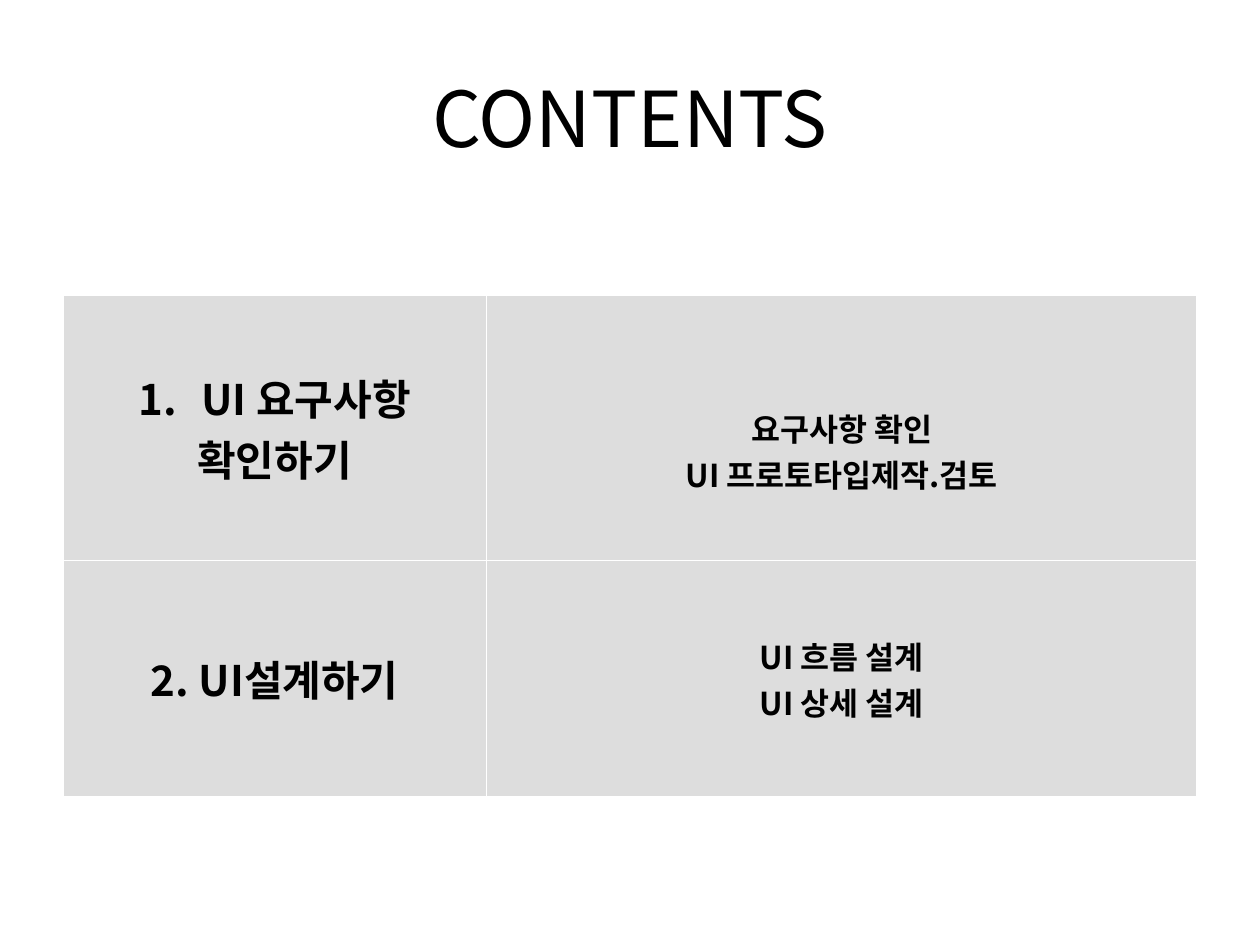
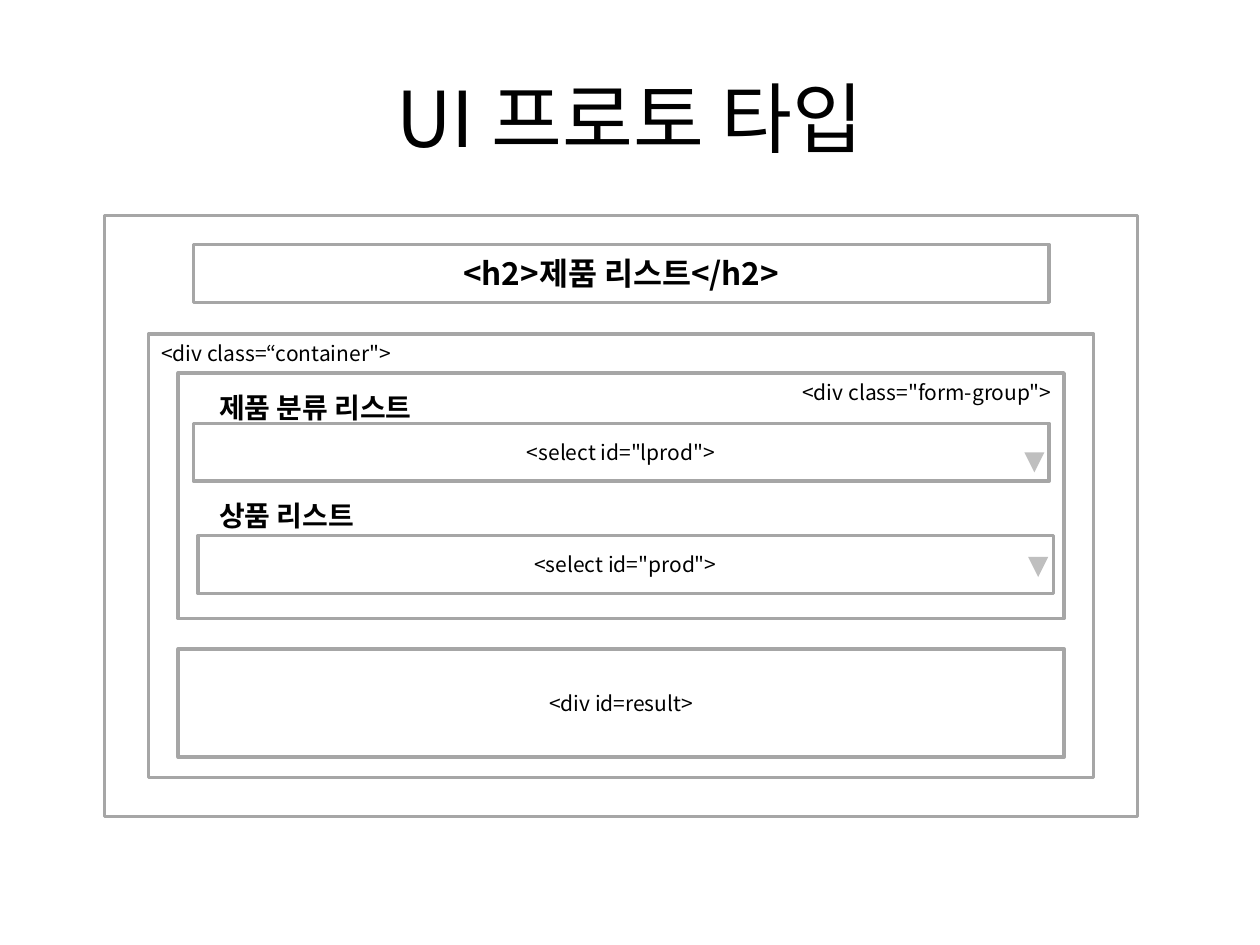
from dataclasses import dataclass

from lxml import etree
from pptx import Presentation, util as u
from pptx.dml.color import RGBColor
from pptx.enum import shapes, text
from pptx.oxml.ns import qn

ALIGN = text.PP_ALIGN
ANCHOR = text.MSO_ANCHOR


@dataclass(frozen=True)
class Theme:
    """Colours, type sizes and font shared by all slides."""
    font: str = "Noto Sans CJK KR"
    ink: str = "000000"
    table_fill: str = "DDDDDD"
    frame_line: str = "A6A6A6"
    arrow_fill: str = "BFBFBF"
    frame_width: float = 2
    title: float = 44
    chapter: float = 24
    topic: float = 18
    label: float = 16
    code: float = 12


def apply(target, values):
    """Set each attribute named in values on the target."""
    for name, value in values.items():
        setattr(target, name, value)


class Deck:
    """Holds the style and the current slide; lengths are cells of a 100 x 75 grid."""

    def __init__(self, theme):
        """Start an empty 10 x 7.5 inch presentation."""
        self.theme = theme
        self.show = Presentation()
        apply(self.show, {"slide_width": u.Inches(10), "slide_height": u.Inches(7.5)})
        self.cell = self.show.slide_width / 100
        self.slide = self.layer = None

    def grid(self, *cells):
        """Turn grid cells into slide lengths."""
        return [round(n * self.cell) for n in cells]

    def put_text(self, frame, lines, size, bold=False, align=ALIGN.CENTER,
                 anchor=ANCHOR.MIDDLE):
        """Fill a text frame with one paragraph per line."""
        apply(frame, {"word_wrap": True, "vertical_anchor": anchor})
        for index, line in enumerate(lines):
            paragraph = frame.add_paragraph() if index else frame.paragraphs[0]
            paragraph.alignment = align
            run = paragraph.add_run()
            run.text = line
            apply(run.font, {"name": self.theme.font, "size": u.Pt(size), "bold": bold})
            run.font.color.rgb = RGBColor.from_string(self.theme.ink)
            east_asian = etree.SubElement(run._r.get_or_add_rPr(), qn("a:ea"))
            east_asian.set("typeface", self.theme.font)

    def new_slide(self, title):
        """Add a blank slide with the shared title."""
        self.slide = self.show.slides.add_slide(self.show.slide_layouts[6])
        self.layer = self.slide.shapes
        box = self.layer.add_textbox(*self.grid(5, 3, 90, 12.5))
        self.put_text(box.text_frame, [title], self.theme.title)

    def table(self, at, columns, rows, contents):
        """Add a plain filled table; contents holds rows of (lines, size)."""
        table = self.layer.add_table(len(rows), len(columns), *self.grid(*at)).table
        apply(table, {"first_row": False, "horz_banding": False})
        for column, width in zip(table.columns, self.grid(*columns)):
            column.width = width
        for row, height in zip(table.rows, self.grid(*rows)):
            row.height = height
        for r, row in enumerate(contents):
            for c, (lines, size) in enumerate(row):
                cell = table.cell(r, c)
                cell.fill.solid()
                cell.fill.fore_color.rgb = RGBColor.from_string(self.theme.table_fill)
                self.put_text(cell.text_frame, lines, size, bold=True)
                cell.vertical_anchor = ANCHOR.MIDDLE
        return table

    def number(self, paragraph, indent):
        """Give a paragraph an automatic number with a hanging indent."""
        properties = paragraph._p.get_or_add_pPr()
        length, = self.grid(indent)
        properties.set("marL", str(length))
        properties.set("indent", str(-length))
        etree.SubElement(properties, qn("a:buFont")).set("typeface", "+mj-lt")
        etree.SubElement(properties, qn("a:buAutoNum")).set("type", "arabicPeriod")

    def frame(self, top, width, height, line="", axis=49.3, size=None, **style):
        """Add an outlined wireframe box centred on a vertical axis."""
        box = self.layer.add_shape(shapes.MSO_SHAPE.RECTANGLE,
                                   *self.grid(axis - width / 2, top, width, height))
        box.shadow.inherit = False
        box.fill.background()
        box.line.color.rgb = RGBColor.from_string(self.theme.frame_line)
        box.line.width = u.Pt(self.theme.frame_width)
        if line:
            self.put_text(box.text_frame, [line], size or self.theme.code, **style)

    def label(self, left, top, line):
        """Add a bold field label."""
        box = self.layer.add_textbox(*self.grid(left, top, 21.1, 3.7))
        self.put_text(box.text_frame, [line], self.theme.label, bold=True,
                      align=ALIGN.LEFT, anchor=ANCHOR.TOP)
        box.text_frame.auto_size = text.MSO_AUTO_SIZE.SHAPE_TO_FIT_TEXT

    def drop_arrow(self, left, top):
        """Add the small triangle of a drop-down field."""
        arrow = self.layer.add_shape(shapes.MSO_SHAPE.FLOWCHART_MERGE,
                                     *self.grid(left, top, 1.6, 1.6))
        arrow.shadow.inherit = False
        arrow.fill.solid()
        arrow.fill.fore_color.rgb = RGBColor.from_string(self.theme.arrow_fill)
        arrow.line.fill.background()


def contents_slide(deck):
    """Build the table of contents."""
    chapter, topic = deck.theme.chapter, deck.theme.topic
    deck.new_slide("CONTENTS")
    table = deck.table((5, 23.4, 90, 39.8), (33.6, 56.4), (21.1, 18.7), [
        [(["UI 요구사항", "확인하기"], chapter),
         (["요구사항 확인", "UI 프로토타입제작.검토"], topic)],
        [(["2. UI설계하기"], chapter),
         (["UI 흐름 설계", "UI 상세 설계"], topic)],
    ])
    deck.number(table.cell(0, 0).text_frame.paragraphs[0], 5)
    table.cell(0, 1).margin_top, = deck.grid(4.1)


def prototype_slide(deck):
    """Build the wireframe of the product list page."""
    field_width, field_height, panel_width = 67.9, 4.6, 70.3
    deck.new_slide("UI 프로토 타입")
    deck.layer = deck.slide.shapes.add_group_shape().shapes
    deck.frame(17.1, 82, 47.7)
    deck.frame(26.5, 75, 35.2, "<div class=“container\">",
               align=ALIGN.LEFT, anchor=ANCHOR.TOP)
    deck.frame(33.6, field_width, field_height, "<select id=\"lprod\">")
    deck.frame(29.6, panel_width, 19.5, "<div class=\"form-group\">",
               align=ALIGN.RIGHT, anchor=ANCHOR.TOP)
    deck.frame(51.5, panel_width, 8.6, "<div id=result>")
    deck.frame(19.4, field_width, field_height, "<h2>제품 리스트</h2>",
               size=deck.theme.topic, bold=True)
    deck.layer = deck.slide.shapes
    deck.label(16.4, 30.5, "제품 분류 리스트")
    deck.label(16.4, 39.1, "상품 리스트")
    deck.drop_arrow(81.3, 35.9)
    deck.frame(42.5, field_width, field_height, "<select id=\"prod\">", axis=49.65)
    deck.drop_arrow(81.6, 44.2)


deck = Deck(Theme())
contents_slide(deck)
prototype_slide(deck)
deck.show.save("out.pptx")
